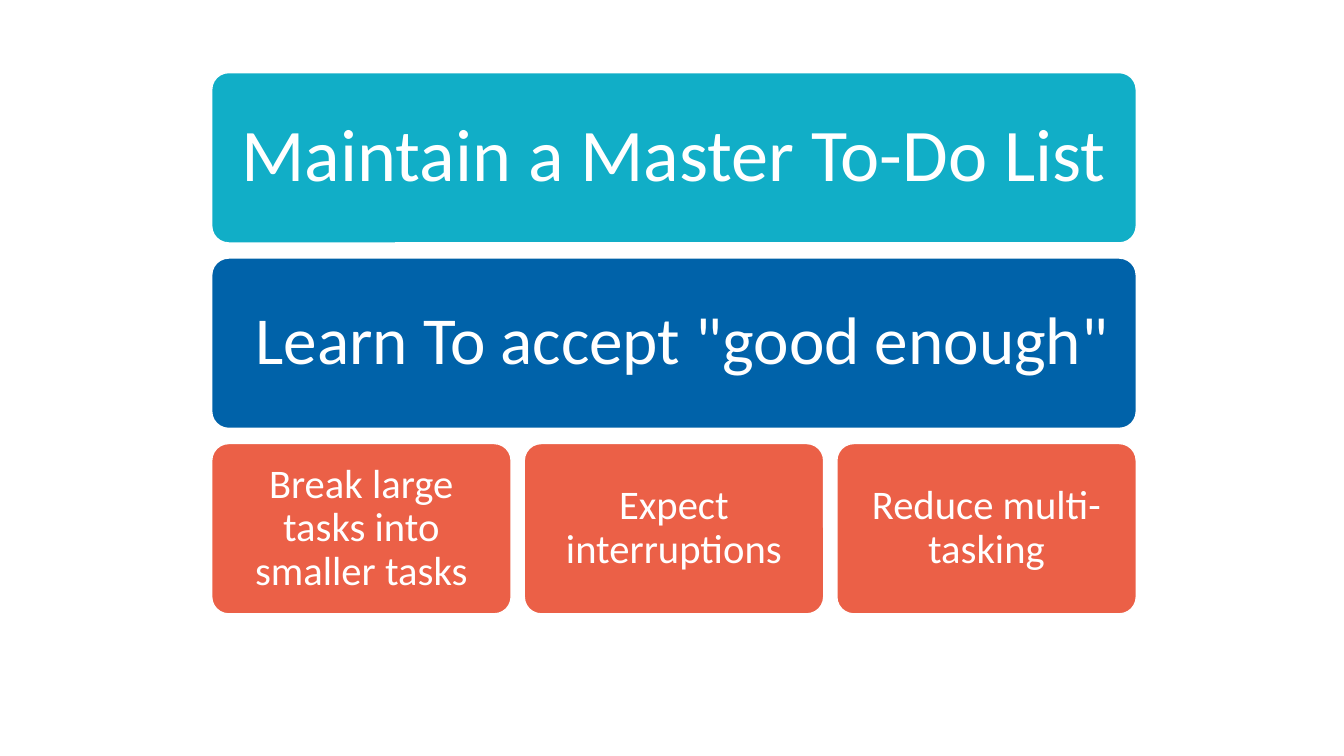
from dataclasses import dataclass

from pptx import Presentation
from pptx.dml.color import RGBColor
from pptx.enum.shapes import MSO_SHAPE
from pptx.enum.text import MSO_ANCHOR, PP_ALIGN
from pptx.util import Inches, Pt


@dataclass(frozen=True)
class Theme:
    """Colours, fonts and type sizes of the slide."""
    white: RGBColor = RGBColor.from_string("FFFFFF")
    teal: RGBColor = RGBColor.from_string("11AEC7")
    blue: RGBColor = RGBColor.from_string("0062A9")
    coral: RGBColor = RGBColor.from_string("EB6047")
    body_font: str = "Calibri"
    lead_font: str = "League Spartan"
    headline: int = 53
    statement: int = 48
    tip: int = 29


@dataclass(frozen=True)
class Grid:
    """Three columns and three rows of cards, in inches."""
    left: float = 2.1
    top: float = 0.72
    card_width: float = 2.97
    card_height: float = 1.69
    column_gap: float = 0.13
    row_gap: float = 0.15

    def cell(self, column, row, span):
        """Return left, top, width and height of a card."""
        column_step = self.card_width + self.column_gap
        row_step = self.card_height + self.row_gap
        return (
            Inches(self.left + column * column_step),
            Inches(self.top + row * row_step),
            Inches(span * column_step - self.column_gap),
            Inches(self.card_height),
        )


THEME = Theme()
GRID = Grid()


def add_card(slide, column, row, span, wording, fill, size, inset):
    """Add a rounded card with centred text and return its paragraph."""
    card = slide.shapes.add_shape(MSO_SHAPE.ROUNDED_RECTANGLE, *GRID.cell(column, row, span))
    card.adjustments[0] = 0.1
    card.shadow.inherit = False
    card.fill.solid()
    card.fill.fore_color.rgb = fill
    card.line.color.rgb = THEME.white
    card.line.width = Pt(1)

    frame = card.text_frame
    frame.word_wrap = True
    frame.vertical_anchor = MSO_ANCHOR.MIDDLE
    frame.margin_left = frame.margin_right = Inches(inset)
    frame.margin_top = frame.margin_bottom = Inches(inset)

    message = frame.paragraphs[0]
    message.alignment = PP_ALIGN.CENTER
    message.line_spacing = 0.9
    message.font.name = THEME.body_font
    message.font.size = Pt(size)
    message.font.color.rgb = THEME.white
    for part in wording:
        message.add_run().text = part
    return message


def main():
    """Build the time management slide."""
    deck = Presentation()
    deck.slide_width, deck.slide_height = Inches(13.33), Inches(7.5)
    slide = deck.slides.add_slide(deck.slide_layouts[6])

    add_card(slide, 0, 0, 3, ["Maintain a Master To-Do List"],
             THEME.teal, THEME.headline, 0.22)
    statement = add_card(slide, 0, 1, 3, [" ", 'Learn To accept "good enough"'],
                         THEME.blue, THEME.statement, 0.2)
    statement.runs[0].font.name = THEME.lead_font

    tips = ["Break large tasks into smaller tasks", "Expect interruptions", "Reduce multi-tasking"]
    for column, tip in enumerate(tips):
        add_card(slide, column, 2, 1, [tip], THEME.coral, THEME.tip, 0.12)

    deck.save("out.pptx")


if __name__ == "__main__":
    main()
